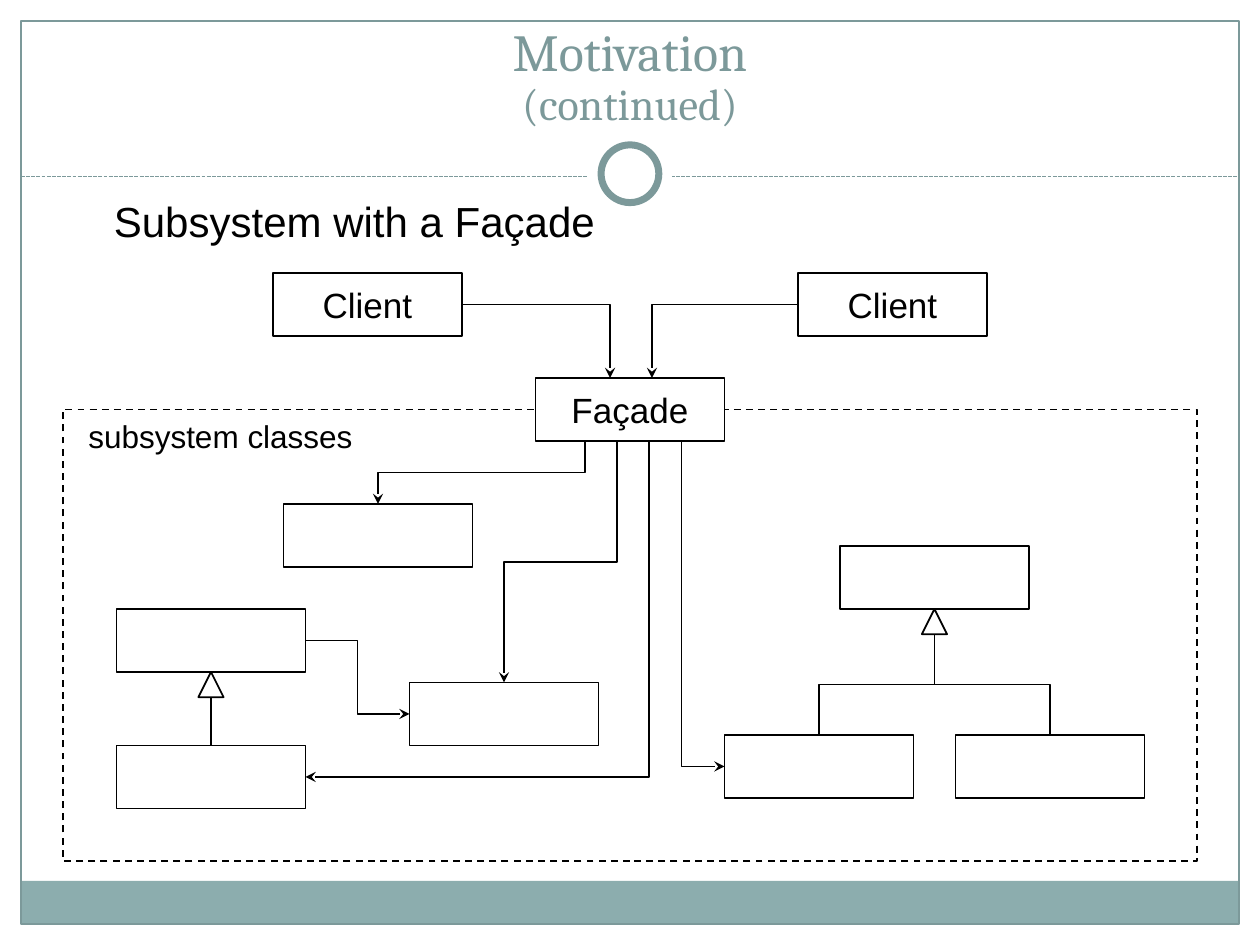
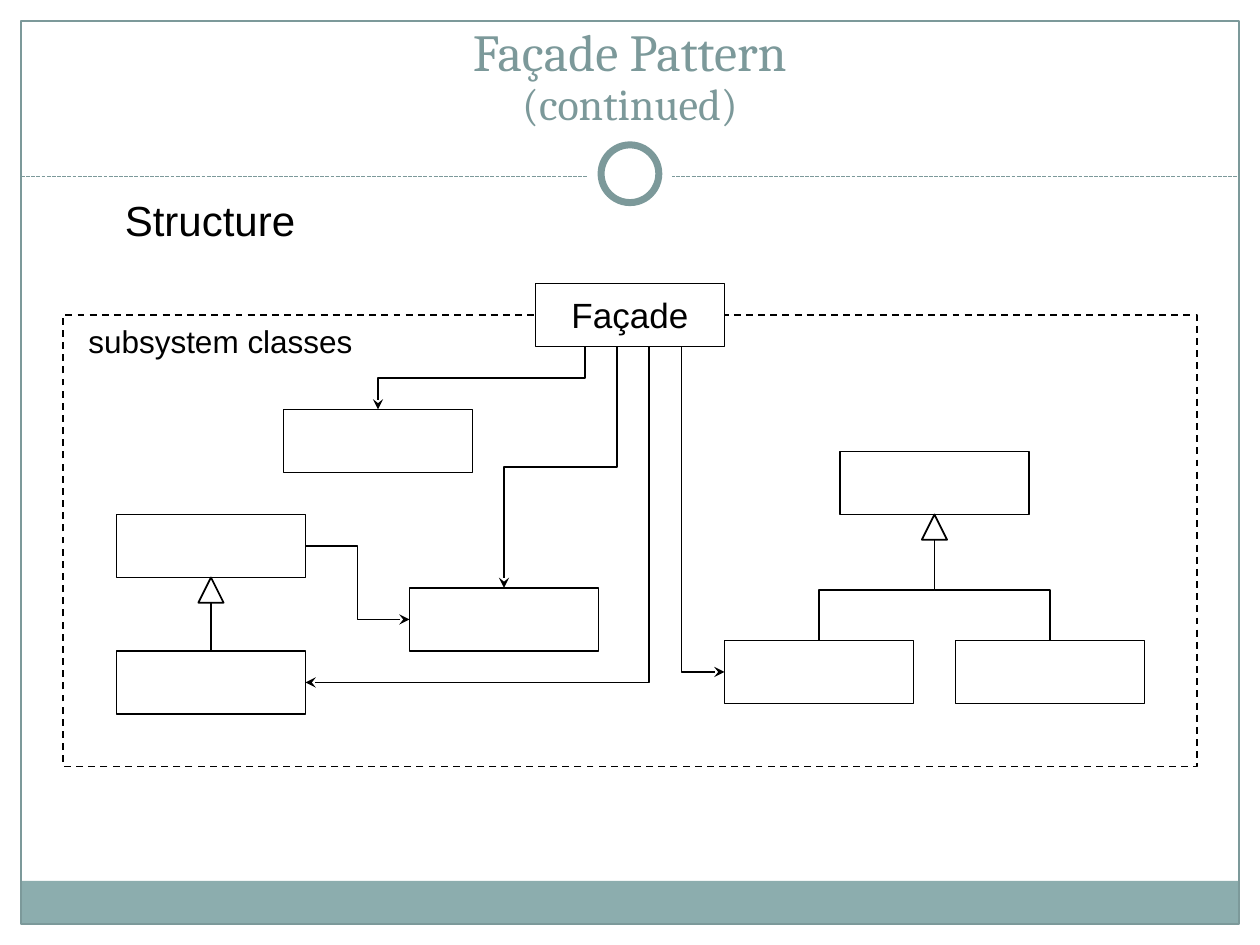
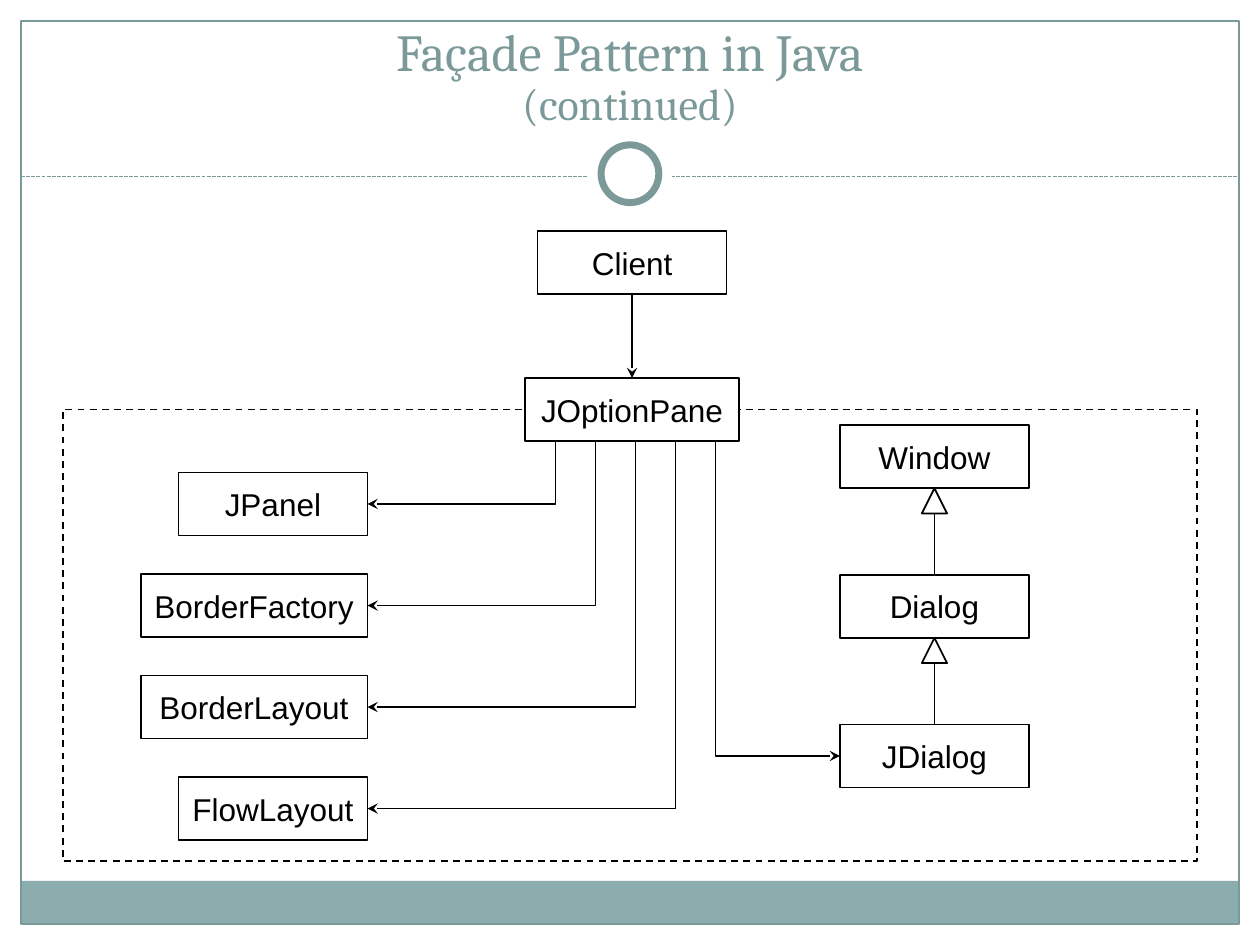
from dataclasses import dataclass

from lxml import etree
from pptx import Presentation
from pptx.dml.color import RGBColor
from pptx.enum.dml import MSO_LINE
from pptx.enum.shapes import MSO_CONNECTOR, MSO_SHAPE
from pptx.enum.text import MSO_ANCHOR, MSO_AUTO_SIZE, PP_ALIGN
from pptx.oxml.ns import qn
from pptx.util import Inches, Pt

RECTANGLE, OVAL, TRIANGLE = MSO_SHAPE.RECTANGLE, MSO_SHAPE.OVAL, MSO_SHAPE.ISOSCELES_TRIANGLE
STRAIGHT, ELBOW = MSO_CONNECTOR.STRAIGHT, MSO_CONNECTOR.ELBOW
DASH, SMALL_DASH = MSO_LINE.DASH, MSO_LINE.SQUARE_DOT
MIDDLE, BOTTOM, CENTER = MSO_ANCHOR.MIDDLE, MSO_ANCHOR.BOTTOM, PP_ALIGN.CENTER
NO_FIT, GROW = MSO_AUTO_SIZE.NONE, MSO_AUTO_SIZE.SHAPE_TO_FIT_TEXT
TOP_SIDE, BOTTOM_SIDE = 0, 2
TITLE_ONLY = 5
COLUMNS, ROWS, CELL = 120, 90, 1 / 12
BOX_WIDTH, BOX_HEIGHT, TRIANGLE_SIZE = 18, 6, 2.4


@dataclass(frozen=True)
class Theme:
    """Colours, fonts and type sizes of the deck."""
    white: RGBColor = RGBColor.from_string("FFFFFF")
    ink: RGBColor = RGBColor.from_string("000000")
    accent: RGBColor = RGBColor.from_string("7C999A")
    band: RGBColor = RGBColor.from_string("8CADAE")
    title_font: str = "Cambria"
    body_font: str = "Arial"
    title_size: float = 29.7
    subtitle_size: float = 25.2
    caption_size: float = 24
    label_size: float = 20
    small_size: float = 18


@dataclass(frozen=True)
class Region:
    """A box on the slide grid, whose parts are placed from its top left cell."""
    column: float
    row: float
    columns: float
    rows: float

    def point(self, column, row):
        """Return the slide position of a grid point."""
        return Inches((self.column + column) * CELL), Inches((self.row + row) * CELL)

    def frame(self, column, row, columns, rows):
        """Return left, top, width and height of a grid area."""
        return *self.point(column, row), Inches(columns * CELL), Inches(rows * CELL)


THEME = Theme()
PAGE = Region(0, 0, COLUMNS, ROWS)
SUBSYSTEM = Region(6, 39, 108, 43)
STRUCTURE = Region(6, 30, 108, 43)


def assign(target, **values):
    """Set attributes of an object from format values."""
    for name, value in values.items():
        setattr(target, name, value)


def write(paragraph, text, size, font=THEME.body_font, color=THEME.ink):
    """Add a formatted run to a centred paragraph."""
    paragraph.alignment = CENTER
    run = paragraph.add_run()
    run.text = text
    assign(run.font, name=font, size=Pt(size))
    run.font.color.rgb = color


def add_shape(slide, region, area, kind=RECTANGLE, fill=None, line=THEME.ink, width=1, dash=None):
    """Add a preset shape on a region's grid."""
    shape = slide.shapes.add_shape(kind, *region.frame(*area))
    shape.shadow.inherit = False
    if fill is None:
        shape.fill.background()
    else:
        shape.fill.solid()
        shape.fill.fore_color.rgb = fill
    if line is None:
        shape.line.fill.background()
    else:
        shape.line.color.rgb = line
        assign(shape.line, width=Pt(width), dash_style=dash)
    return shape


def add_class(slide, region, column, row, label="", columns=BOX_WIDTH, size=THEME.small_size, fill=None):
    """Add a class box with an optional name."""
    box = add_shape(slide, region, (column, row, columns, BOX_HEIGHT), fill=fill)
    if label:
        assign(box.text_frame, word_wrap=False, vertical_anchor=MIDDLE)
        write(box.text_frame.paragraphs[0], label, size)
    return box


def add_text(slide, region, area, text, size):
    """Add a one-line text box."""
    frame = slide.shapes.add_textbox(*region.frame(*area)).text_frame
    assign(frame, word_wrap=False, auto_size=GROW)
    write(frame.paragraphs[0], text, size)


def add_line(slide, region, start, end, kind=STRAIGHT, color=THEME.ink, width=1, dash=None, arrow=False):
    """Add a connector between two grid points."""
    connector = slide.shapes.add_connector(kind, *region.point(*start), *region.point(*end))
    connector.line.color.rgb = color
    assign(connector.line, width=Pt(width), dash_style=dash)
    properties = connector.element.spPr
    if arrow:
        etree.SubElement(properties.ln, qn("a:tailEnd"), type="stealth")
    etree.SubElement(properties, qn("a:effectLst"))
    return connector


def add_elbow(slide, region, start, end, bends=1, down=True, arrow=True):
    """Add a bent connector which leaves its start downwards or sideways."""
    connector = add_line(slide, region, start, end, ELBOW, arrow=arrow)
    properties = connector.element.spPr
    properties.prstGeom.set("prst", f"bentConnector{bends + 1}")
    if down:
        to_right = end[0] > start[0]
        width, height = connector.width, connector.height
        assign(connector,
               left=connector.left + (width - height) // 2,
               top=connector.top + (height - width) // 2,
               width=height, height=width,
               rotation=270 if to_right else 90)
        properties.xfrm.flipH = to_right


def add_inheritance(slide, region, parent, children):
    """Hang (column, row, box) children below the parent's triangle."""
    center, bottom = parent[0] + BOX_WIDTH / 2, parent[1] + BOX_HEIGHT
    area = (center - TRIANGLE_SIZE / 2, bottom, TRIANGLE_SIZE, TRIANGLE_SIZE)
    add_shape(slide, region, area, TRIANGLE)
    start = (center, bottom + TRIANGLE_SIZE)
    for column, row, box in children:
        end = (column + BOX_WIDTH / 2, row)
        if end[0] == center:
            add_line(slide, region, start, end).end_connect(box, TOP_SIDE)
        else:
            add_elbow(slide, region, start, end, bends=2, arrow=False)


def build_layout(layout, slide):
    """Draw the shared frame and move it to the layout."""
    for area in ((0, 0, COLUMNS, 18.25), (0, 0, 2, ROWS), (COLUMNS - 2, 0, 2, ROWS)):
        add_shape(slide, PAGE, area, fill=THEME.white, line=None)
    add_shape(slide, PAGE, (2, 83.9, 116, 4.1), fill=THEME.band, line=None)
    add_shape(slide, PAGE, (2, 2, 116, 86), line=THEME.accent, width=0.75)
    add_line(slide, PAGE, (2, 16.8), (118, 16.8), color=THEME.accent, width=0.75, dash=SMALL_DASH)
    add_shape(slide, PAGE, (56, 12.6, 8, 8), OVAL, fill=THEME.white, line=None)
    add_shape(slide, PAGE, (57.25, 13.8, 5.5, 5.5), OVAL, fill=THEME.white, line=THEME.accent, width=4)
    parts = [shape.element for shape in slide.shapes if not shape.is_placeholder]
    for index, part in enumerate(parts):
        part.xpath(".//p:cNvPr")[0].set("id", str(100 + index))
        layout.shapes.element.insert(2 + index, part)


def set_title(slide, title):
    """Place and fill the two-line title."""
    placeholder = slide.shapes.title
    left, top, width, height = PAGE.frame(4, 3, 112, 10)
    assign(placeholder, left=left, top=top, width=width, height=height)
    assign(placeholder.text_frame, vertical_anchor=BOTTOM, auto_size=NO_FIT, word_wrap=True)
    paragraph = placeholder.text_frame.paragraphs[0]
    paragraph.line_spacing = 0.9
    write(paragraph, title, THEME.title_size, THEME.title_font, THEME.accent)
    paragraph.add_line_break()
    write(paragraph, "(continued)", THEME.subtitle_size, THEME.title_font, THEME.accent)


def draw_border(slide, region):
    """Draw the dashed subsystem border."""
    add_shape(slide, region, (0, 0, region.columns, region.rows), dash=DASH)


def draw_subsystem(slide, region):
    """Draw the façade and the unnamed classes behind it."""
    draw_border(slide, region)
    add_text(slide, region, (1.1, 0.1, 27.8, 4.8), "subsystem classes", THEME.small_size)
    single, base, derived, shared = (21, 9), (5.1, 19), (5.1, 32), (33, 26)
    parent, left_child, right_child = (74, 13), (63, 31), (85, 31)
    boxes = {place: add_class(slide, region, *place)
             for place in (single, base, derived, shared, parent, left_child, right_child)}
    add_inheritance(slide, region, base, [(*derived, boxes[derived])])
    add_inheritance(slide, region, parent,
                    [(*child, boxes[child]) for child in (left_child, right_child)])
    half_width, half_height = BOX_WIDTH / 2, BOX_HEIGHT / 2
    add_elbow(slide, region, (base[0] + BOX_WIDTH, base[1] + half_height),
              (shared[0], shared[1] + half_height), bends=2, down=False)
    targets = (
        (single[0] + half_width, single[1], 2),
        (shared[0] + half_width, shared[1], 2),
        (derived[0] + BOX_WIDTH, derived[1] + half_height, 1),
        (left_child[0], left_child[1] + half_height, 1),
    )
    for index, (column, row, bends) in enumerate(targets):
        add_elbow(slide, region, (49.7 + 3.07 * index, 3), (column, row), bends)
    add_class(slide, region, 45, -3, "Façade", size=THEME.label_size, fill=THEME.white)


def draw_clients(slide, region):
    """Draw the two clients which call the façade."""
    row = -13
    for column, exit_column, target in ((20, 38, 52.1), (70, 70, 56.1)):
        add_class(slide, region, column, row, "Client", size=THEME.label_size)
        add_elbow(slide, region, (exit_column, row + BOX_HEIGHT / 2), (target, -3), down=False)


def draw_java_classes(slide, region):
    """Draw the dialog classes behind JOptionPane."""
    draw_border(slide, region)
    right_edge, middle = 29, BOX_HEIGHT / 2
    targets = []
    helpers = (("JPanel", BOX_WIDTH), ("BorderFactory", 21.6),
               ("BorderLayout", 21.6), ("FlowLayout", BOX_WIDTH))
    for index, (name, columns) in enumerate(helpers):
        row = 6 + 9.67 * index
        add_class(slide, region, right_edge - columns, row, name, columns)
        targets.append((right_edge, row + middle))
    chain = []
    for index, name in enumerate(("Window", "Dialog", "JDialog")):
        place = (74, 1.5 + 14.25 * index)
        chain.append((*place, add_class(slide, region, *place, name)))
    for parent, child in zip(chain, chain[1:]):
        add_inheritance(slide, region, parent, [child])
    targets.append((chain[-1][0], chain[-1][1] + middle))
    for index, target in enumerate(targets):
        add_elbow(slide, region, (46.9 + 3.81 * index, 3), target)
    pane = add_class(slide, region, 44, -3, "JOptionPane", 20.4, fill=THEME.white)
    client = add_class(slide, region, 45.2, -17, "Client")
    call = add_line(slide, region, (54.2, -11), (54.2, -3), arrow=True)
    call.begin_connect(client, BOTTOM_SIDE)
    call.end_connect(pane, TOP_SIDE)


def main():
    """Build the three slides and save them."""
    presentation = Presentation()
    assign(presentation, slide_width=Inches(COLUMNS * CELL), slide_height=Inches(ROWS * CELL))
    layout = presentation.slide_layouts[TITLE_ONLY]
    titles = ("Motivation", "Façade Pattern", "Façade Pattern in Java")
    slides = [presentation.slides.add_slide(layout) for _ in titles]
    build_layout(layout, slides[0])
    for slide, title in zip(slides, titles):
        set_title(slide, title)
    motivation, structure, java = slides
    add_text(motivation, PAGE, (9.4, 18, 48.7, 6), "Subsystem with a Façade", THEME.caption_size)
    draw_subsystem(motivation, SUBSYSTEM)
    draw_clients(motivation, SUBSYSTEM)
    add_text(structure, PAGE, (10.6, 17.9, 18.8, 6), "Structure", THEME.caption_size)
    draw_subsystem(structure, STRUCTURE)
    draw_java_classes(java, SUBSYSTEM)
    presentation.save("out.pptx")


if __name__ == "__main__":
    main()
